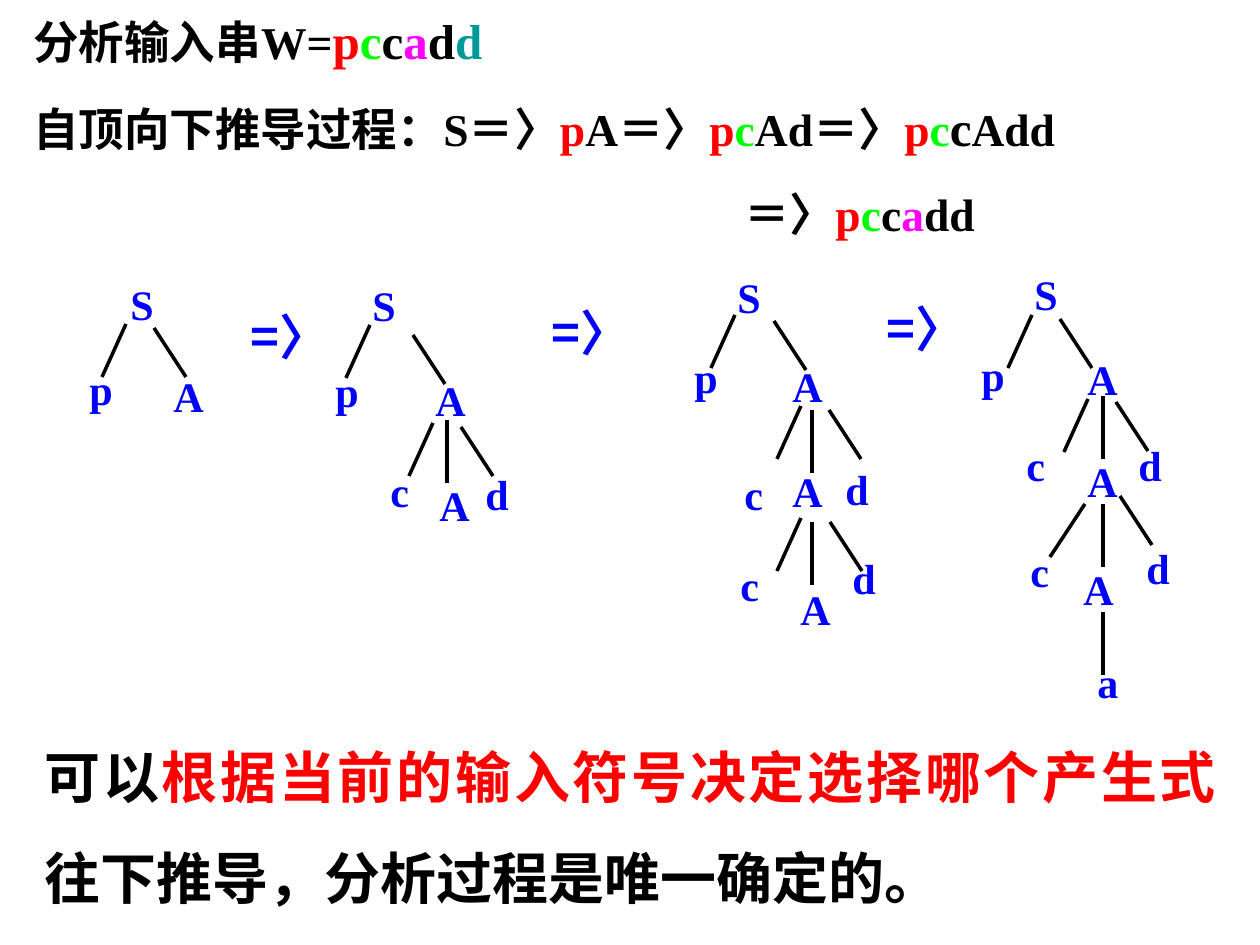
"""Build a slide that derives an input string top-down and grows its parse trees."""
from lxml import etree
from pptx import Presentation
from pptx.dml.color import RGBColor
from pptx.enum.shapes import MSO_CONNECTOR
from pptx.enum.text import PP_ALIGN
from pptx.oxml.ns import qn
from pptx.util import Pt

JUSTIFY = PP_ALIGN.JUSTIFY
STRAIGHT = MSO_CONNECTOR.STRAIGHT
PX = 914400 // 126
LATIN, CHINESE = "Times New Roman", "Noto Sans CJK SC"
COLORS = {"black": "000000", "red": "FF0000", "green": "00FF00",
          "magenta": "FF00FF", "teal": "009999", "blue": "0000FF"}

INPUT_LINE = [("分析输入串W=", "black", 26), ("p", "red", 28), ("c", "green", 28),
              ("c", "black", 28), ("a", "magenta", 28), ("d", "black", 28),
              ("d", "teal", 28)]
DERIVATION_LINE = [("自顶向下推导过程：S＝〉", "black", 26), ("p", "red", 26),
                   ("A＝〉", "black", 26), ("p", "red", 26), ("c", "green", 26),
                   ("Ad＝〉", "black", 26), ("p", "red", 26), ("c", "green", 26),
                   ("c", "black", 28), ("Add", "black", 26)]
LAST_STEP_LINE = [("＝〉", "black", 26), ("p", "red", 26), ("c", "green", 26),
                  ("c", "black", 26), ("a", "magenta", 26), ("dd", "black", 26)]
CONCLUSION = [("可以", "black", 32), ("根据当前的输入符号决定选择哪个产生式", "red", 32),
              ("往下推导，分析过程是唯一确定的。", "black", 32)]

SIZES = {"node": (91, 67), "tall": (91, 90), "end": (77, 77), "leaf": (77, 63),
         "arrow": (122, 67)}
BRANCHES = {"left": (-24, 53), "wide": (-35, 53), "down": (0, 63), "right": (32, 49)}
TREES = [
    {"labels": [("S", "node", 118, 272), ("p", "tall", 77, 357), ("A", "node", 161, 364)],
     "branches": [("left", 126, 324), ("right", 154, 328)]},
    {"labels": [("=〉", "arrow", 238, 300), ("S", "node", 360, 273),
                ("p", "tall", 323, 359), ("A", "node", 423, 368),
                ("c", "node", 378, 459), ("A", "leaf", 427, 473),
                ("d", "end", 473, 462)],
     "branches": [("left", 370, 325), ("right", 413, 335), ("left", 433, 423),
                  ("down", 447, 420), ("right", 461, 427)]},
    {"labels": [("=〉", "arrow", 539, 296), ("S", "node", 725, 265),
                ("p", "tall", 682, 345), ("A", "node", 780, 354),
                ("c", "node", 732, 462), ("A", "node", 780, 459),
                ("d", "node", 833, 457), ("c", "node", 728, 553),
                ("A", "leaf", 788, 577), ("d", "end", 840, 546)],
     "branches": [("left", 735, 315), ("right", 774, 321), ("left", 801, 406),
                  ("down", 812, 410), ("right", 829, 410), ("left", 801, 518),
                  ("down", 812, 522), ("right", 830, 522)]},
    {"labels": [("=〉", "arrow", 874, 292), ("S", "node", 1022, 262),
                ("p", "tall", 969, 343), ("A", "node", 1075, 347),
                ("c", "node", 1014, 433), ("A", "node", 1075, 449),
                ("d", "node", 1126, 433), ("c", "node", 1018, 539),
                ("A", "leaf", 1071, 557), ("d", "end", 1134, 536),
                ("a", "end", 1085, 650)],
     "branches": [("left", 1032, 315), ("right", 1060, 319), ("left", 1088, 399),
                  ("down", 1103, 396), ("right", 1116, 402), ("wide", 1085, 504),
                  ("down", 1103, 504), ("right", 1120, 496), ("down", 1103, 612)]},
]


def add_text(shapes, box, paragraphs, font=LATIN, line=None, before=(), indents=()):
    shape = shapes.add_textbox(*(value * PX for value in box))
    frame = shape.text_frame
    frame.word_wrap = True
    for index, runs in enumerate(paragraphs):
        paragraph = frame.add_paragraph() if index else frame.paragraphs[0]
        paragraph.alignment = JUSTIFY
        if line:
            paragraph.line_spacing = Pt(line)
        if index < len(before):
            paragraph.space_before = Pt(before[index])
        if index < len(indents):
            properties = paragraph._p.get_or_add_pPr()
            properties.set("marL", str(indents[index] * PX))
            properties.set("indent", "0")
        for text, color, size in runs:
            run = paragraph.add_run()
            run.text = text
            run.font.size = Pt(size)
            run.font.bold = True
            run.font.name = font
            run.font.color.rgb = RGBColor.from_string(COLORS[color])
            east_asian = etree.SubElement(run._r.get_or_add_rPr(), qn("a:ea"))
            east_asian.set("typeface", CHINESE)


def add_branch(shapes, direction, left, top):
    across, down = BRANCHES[direction]
    connector = shapes.add_connector(STRAIGHT, left * PX, top * PX,
                                     (left + across) * PX, (top + down) * PX)
    connector.line.color.rgb = RGBColor.from_string(COLORS["black"])
    connector.line.width = Pt(2)
    etree.SubElement(connector._element.spPr, qn("a:effectLst"))


def add_tree(slide, tree):
    shapes = slide.shapes.add_group_shape().shapes
    for text, kind, left, top in tree["labels"]:
        font, size = (CHINESE, 28) if kind == "arrow" else (LATIN, 24)
        add_text(shapes, (left, top, *SIZES[kind]), [[(text, "blue", size)]], font=font)
    for branch in tree["branches"]:
        add_branch(shapes, *branch)


def main():
    presentation = Presentation()
    presentation.slide_width, presentation.slide_height = 1260 * PX, 945 * PX
    slide = presentation.slides.add_slide(presentation.slide_layouts[6])
    add_text(slide.shapes, (21, 0, 1239, 242),
             [INPUT_LINE, DERIVATION_LINE, LAST_STEP_LINE],
             line=36, before=(0, 13.7, 12), indents=(0, 0, 711))
    for tree in TREES:
        add_tree(slide, tree)
    add_text(slide.shapes, (32, 703, 1197, 214), [CONCLUSION], line=57.7)
    presentation.save("out.pptx")


if __name__ == "__main__":
    main()
